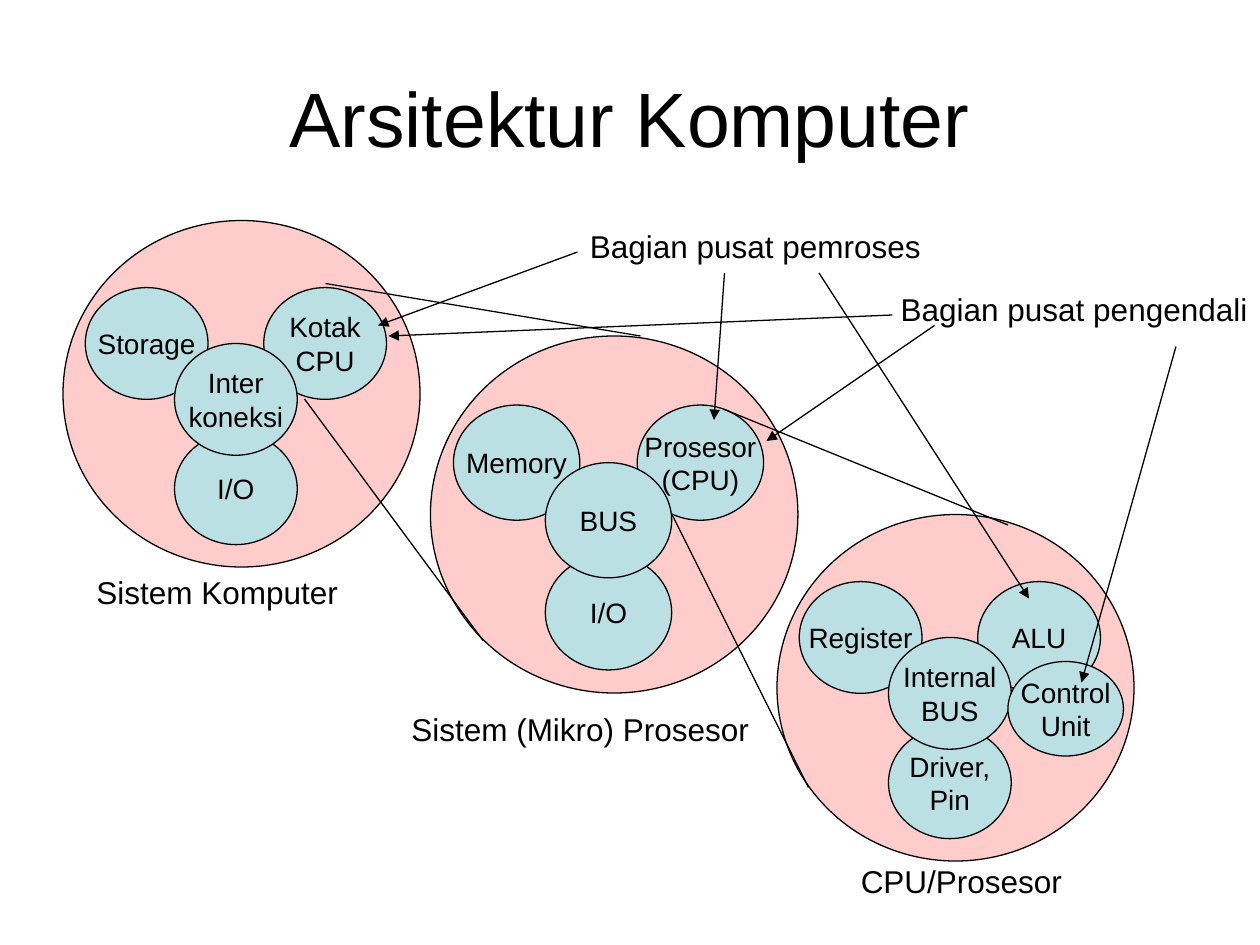
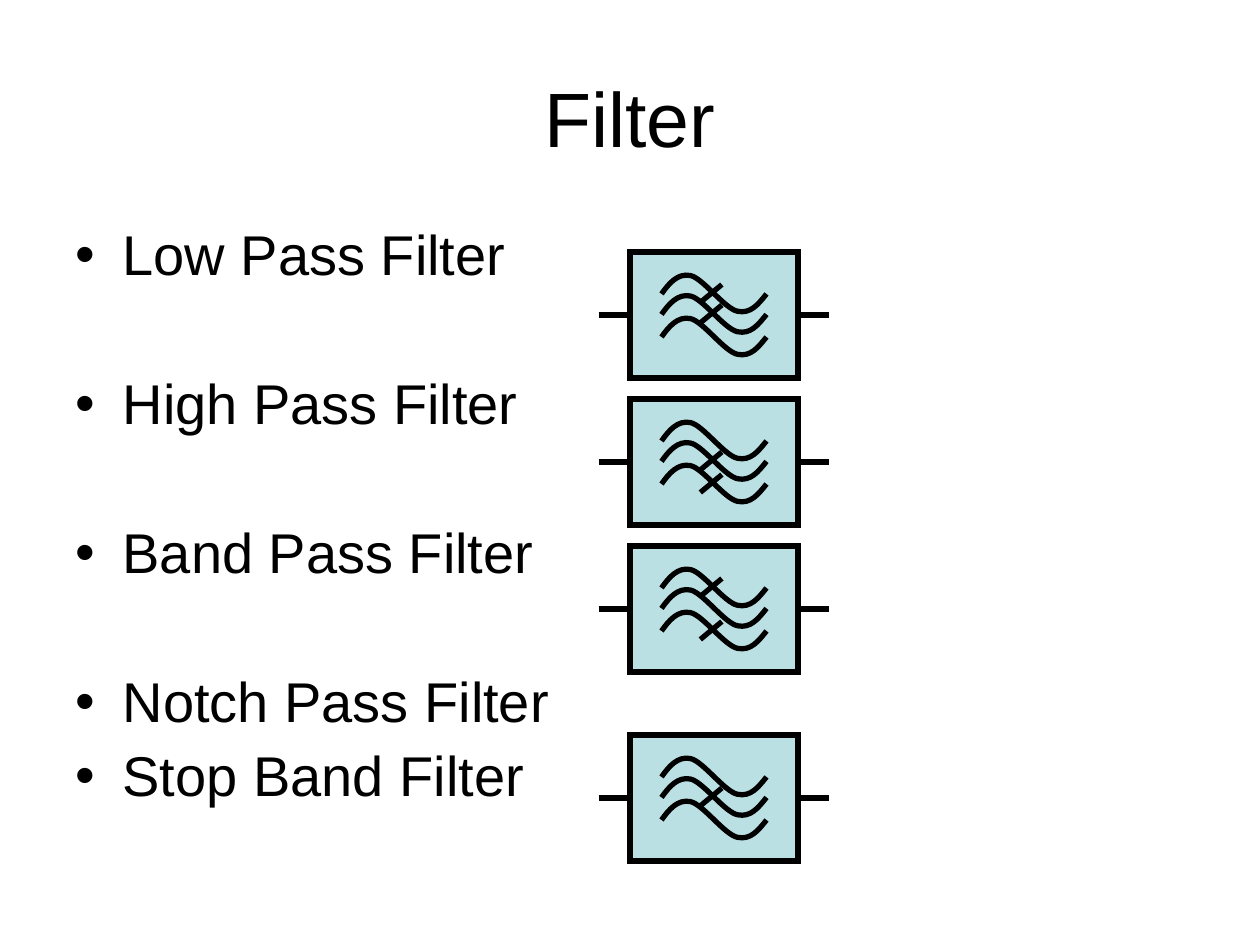
from dataclasses import dataclass
from typing import Any, NamedTuple

from pptx import Presentation
from pptx.dml.color import RGBColor
from pptx.enum.shapes import MSO_CONNECTOR, MSO_SHAPE
from pptx.enum.text import MSO_ANCHOR, MSO_AUTO_SIZE, PP_ALIGN
from pptx.oxml.ns import qn
from pptx.util import Inches, Pt

BLACK = RGBColor(0x00, 0x00, 0x00)
RED = RGBColor(0xFF, 0x00, 0x00)
PALE_TEAL = RGBColor(0xBB, 0xE0, 0xE3)
FONT = "Arial"
SLIDE_WIDTH, SLIDE_HEIGHT = Inches(10), Inches(7.5)
COLUMNS, ROWS = 120, 90
CLUSTER_COLUMNS, CLUSTER_ROWS = 32, 31
THIN, THICK = Pt(0.75), Pt(3)
BULLET_INDENT = Pt(27)
LEFT_SIDE, RIGHT_SIDE = 1, 3
TITLE_ONLY = 5


class Point(NamedTuple):
    column: float
    row: float


class Area(NamedTuple):
    column: float
    row: float
    width: float
    height: float


class Label(NamedTuple):
    text: str
    area: Area


class Link(NamedTuple):
    start: Point
    end: Point


@dataclass(frozen=True)
class Cluster:
    area: Area
    right: str
    left: str
    bottom: str
    center: str


@dataclass(frozen=True)
class Filter:
    row: float
    struck_waves: tuple[int, ...]


class Bullet(NamedTuple):
    text: str
    space_before: float


CLUSTERS = [
    Cluster(Area(6, 21, 34, 33), "Kotak\nCPU", "Storage", "I/O", "Inter\nkoneksi"),
    Cluster(Area(41, 32, 35, 34), "Prosesor\n(CPU)", "Memory", "I/O", "BUS"),
    Cluster(Area(74, 49, 34, 33), "ALU", "Register", "Driver,\nPin", "Internal\nBUS"),
]
ZOOM_LINES = [
    Link(Point(31, 27), Point(61, 32)),
    Link(Point(29, 38), Point(46, 61)),
    Link(Point(69, 39), Point(96, 50)),
    Link(Point(64, 49), Point(77, 75)),
]
CONTROL_UNIT = Label("Control\nUnit", Area(96, 63, 11, 9))
CAPTIONS = [
    Label("Sistem Komputer", Area(8, 54, 25.3, 4.8)),
    Label("Sistem (Mikro) Prosesor", Area(38, 67, 34.6, 4.8)),
    Label("CPU/Prosesor", Area(80.8, 81.5, 21.6, 4.8)),
    Label("Bagian pusat pemroses", Area(55, 21, 33.8, 4.8)),
    Label("Bagian pusat pengendali", Area(84.6, 27, 35.4, 4.8)),
]
ARROWS = [
    Link(Point(55, 24), Point(36, 31)),
    Link(Point(69, 26), Point(68, 40)),
    Link(Point(78, 26), Point(98, 57)),
    Link(Point(85, 30), Point(37, 32)),
    Link(Point(89, 31), Point(73, 42)),
    Link(Point(112, 33), Point(103, 65)),
]

BULLETS = [
    Bullet("Low Pass Filter", 0),
    Bullet("High Pass Filter", 50.6),
    Bullet("Band Pass Filter", 50.6),
    Bullet("Notch Pass Filter", 50.6),
    Bullet("Stop Band Filter", 8),
]
FILTERS = [
    Filter(24, (0, 1)),
    Filter(38, (1, 2)),
    Filter(52, (0, 2)),
    Filter(70, (1,)),
]
FILTER_COLUMN, FILTER_WIDTH, FILTER_HEIGHT, STUB = 60, 16, 12, 3
WAVE_COLUMN = FILTER_COLUMN + 3
WAVE_ROWS = (2, 3.95, 6.1)
WAVE_CURVE = [
    Point(0, 2), Point(0.7, 1), Point(1.55, 0), Point(2.75, 0.25), Point(3.95, 0.5),
    Point(6, 3.4), Point(7.25, 3.65), Point(8.5, 3.9), Point(9.2, 3), Point(10, 2),
]
SLASH = Link(Point(3.7, 2.8), Point(5.75, 1.1))


def across(columns: float) -> int:
    return round(SLIDE_WIDTH * columns / COLUMNS)


def down(rows: float) -> int:
    return round(SLIDE_HEIGHT * rows / ROWS)


def place(area: Area) -> tuple[int, int, int, int]:
    return across(area.column), down(area.row), across(area.width), down(area.height)


def apply(target: Any, values: dict[str, Any]) -> None:
    for name, value in values.items():
        setattr(target, name, value)


def format_font(paragraph: Any, size: float) -> None:
    apply(paragraph.font, {"name": FONT, "size": Pt(size)})
    paragraph.font.color.rgb = BLACK


def set_text(shape: Any, text: str, size: float, alignment: Any, anchor: Any, wrap: bool) -> None:
    frame = shape.text_frame
    frame.text = text
    apply(frame, {
        "word_wrap": wrap, "vertical_anchor": anchor, "auto_size": MSO_AUTO_SIZE.NONE,
        "margin_left": Inches(0.1), "margin_right": Inches(0.1),
        "margin_top": Inches(0.05), "margin_bottom": Inches(0.05),
    })
    for paragraph in frame.paragraphs:
        paragraph.alignment = alignment
        format_font(paragraph, size)


def set_outline(shape: Any, width: int) -> None:
    shape.line.color.rgb = BLACK
    shape.line.width = width
    line = shape.line._get_or_add_ln()
    line.append(line.makeelement(qn("a:miter"), {"lim": "800000"}))


def add_filled(shapes: Any, kind: Any, area: Area, color: RGBColor, width: int) -> Any:
    shape = shapes.add_shape(kind, *place(area))
    shape.shadow.inherit = False
    shape.fill.solid()
    shape.fill.fore_color.rgb = color
    set_outline(shape, width)
    return shape


def add_part(shapes: Any, label: Label) -> None:
    shape = add_filled(shapes, MSO_SHAPE.OVAL, label.area, PALE_TEAL, THIN)
    set_text(shape, label.text, 16, PP_ALIGN.CENTER, MSO_ANCHOR.MIDDLE, False)


def add_line(shapes: Any, link: Link, width: int, arrow: bool = False) -> Any:
    connector = shapes.add_connector(
        MSO_CONNECTOR.STRAIGHT,
        across(link.start.column), down(link.start.row),
        across(link.end.column), down(link.end.row),
    )
    set_outline(connector, width)
    properties = connector._element.spPr
    if arrow:
        tail = properties.makeelement(qn("a:tailEnd"), {"type": "triangle"})
        connector.line._get_or_add_ln().append(tail)
    properties.append(properties.makeelement(qn("a:effectLst"), {}))
    return connector


def add_title_slide(presentation: Any, title: str) -> Any:
    slide = presentation.slides.add_slide(presentation.slide_layouts[TITLE_ONLY])
    left, top, width, height = place(Area(6, 3.6, 108, 15))
    apply(slide.shapes.title, {"left": left, "top": top, "width": width, "height": height})
    set_text(slide.shapes.title, title, 44, PP_ALIGN.CENTER, MSO_ANCHOR.MIDDLE, True)
    return slide


def add_cluster(slide: Any, cluster: Cluster) -> None:
    shapes = slide.shapes.add_group_shape().shapes
    area = cluster.area
    circle = add_filled(shapes, MSO_SHAPE.OVAL, area, RED, THIN)
    color = circle._element.spPr.find(qn("a:solidFill"))[0]
    color.append(color.makeelement(qn("a:alpha"), {"val": "20000"}))
    column_width = area.width / CLUSTER_COLUMNS
    row_height = area.height / CLUSTER_ROWS
    parts = [
        (cluster.right, 18, 6), (cluster.left, 2, 6),
        (cluster.bottom, 10, 19), (cluster.center, 10, 11),
    ]
    for text, column, row in parts:
        add_part(shapes, Label(text, Area(
            area.column + column * column_width, area.row + row * row_height,
            11 * column_width, 10 * row_height,
        )))


def add_wave(shapes: Any, row: float) -> None:
    start, *controls = [
        (across(WAVE_COLUMN + point.column), down(row + point.row)) for point in WAVE_CURVE
    ]
    builder = shapes.build_freeform(*start)
    builder.add_line_segments(controls, close=False)
    wave = builder.convert_to_shape()
    wave.shadow.inherit = False
    wave.fill.background()
    set_outline(wave, THICK)
    outline = next(wave._element.iter(qn("a:path")))
    segments = outline.findall(qn("a:lnTo"))
    for first in range(0, len(segments), 3):
        curve = outline.makeelement(qn("a:cubicBezTo"), {})
        outline.append(curve)
        for segment in segments[first:first + 3]:
            curve.append(segment[0])
            outline.remove(segment)


def add_filter(slide: Any, item: Filter) -> Any:
    shapes = slide.shapes.add_group_shape().shapes
    area = Area(FILTER_COLUMN, item.row, FILTER_WIDTH, FILTER_HEIGHT)
    box = add_filled(shapes, MSO_SHAPE.RECTANGLE, area, PALE_TEAL, THICK)
    for index, offset in enumerate(WAVE_ROWS):
        row = item.row + offset
        add_wave(shapes, row)
        if index in item.struck_waves:
            start, end = (Point(WAVE_COLUMN + p.column, row + p.row) for p in SLASH)
            add_line(shapes, Link(start, end), THICK)
    return box


def add_stubs(slide: Any, item: Filter, box: Any) -> None:
    middle = item.row + FILTER_HEIGHT / 2
    right = FILTER_COLUMN + FILTER_WIDTH
    entry = Link(Point(FILTER_COLUMN - STUB, middle), Point(FILTER_COLUMN, middle))
    leaving = Link(Point(right, middle), Point(right + STUB, middle))
    add_line(slide.shapes, entry, THICK).end_connect(box, LEFT_SIDE)
    add_line(slide.shapes, leaving, THICK).begin_connect(box, RIGHT_SIDE)


def add_bullets(slide: Any, bullets: list[Bullet]) -> None:
    box = slide.shapes.add_textbox(*place(Area(6, 21, 108, 59.4)))
    text = "\n".join(bullet.text for bullet in bullets)
    set_text(box, text, 32, PP_ALIGN.LEFT, MSO_ANCHOR.TOP, True)
    for paragraph, bullet in zip(box.text_frame.paragraphs, bullets):
        apply(paragraph, {"line_spacing": 0.9, "space_before": Pt(bullet.space_before)})
        properties = paragraph._p.get_or_add_pPr()
        properties.set("marL", str(BULLET_INDENT))
        properties.set("indent", str(-BULLET_INDENT))
        defaults = properties.find(qn("a:defRPr"))
        for tag, values in (("a:buFont", {"typeface": FONT}), ("a:buChar", {"char": "•"})):
            defaults.addprevious(properties.makeelement(qn(tag), values))


def build_architecture(presentation: Any) -> None:
    slide = add_title_slide(presentation, "Arsitektur Komputer")
    for cluster in CLUSTERS:
        add_cluster(slide, cluster)
    for link in ZOOM_LINES:
        add_line(slide.shapes, link, THIN)
    add_part(slide.shapes, CONTROL_UNIT)
    for caption in CAPTIONS:
        box = slide.shapes.add_textbox(*place(caption.area))
        set_text(box, caption.text, 18, PP_ALIGN.LEFT, MSO_ANCHOR.TOP, False)
    for link in ARROWS:
        add_line(slide.shapes, link, THIN, arrow=True)


def build_filters(presentation: Any) -> None:
    slide = add_title_slide(presentation, "Filter")
    add_bullets(slide, BULLETS)
    boxes = [add_filter(slide, item) for item in FILTERS]
    for item, box in zip(FILTERS, boxes):
        add_stubs(slide, item, box)


def main() -> None:
    presentation = Presentation()
    apply(presentation, {"slide_width": SLIDE_WIDTH, "slide_height": SLIDE_HEIGHT})
    build_architecture(presentation)
    build_filters(presentation)
    presentation.save("out.pptx")


if __name__ == "__main__":
    main()
